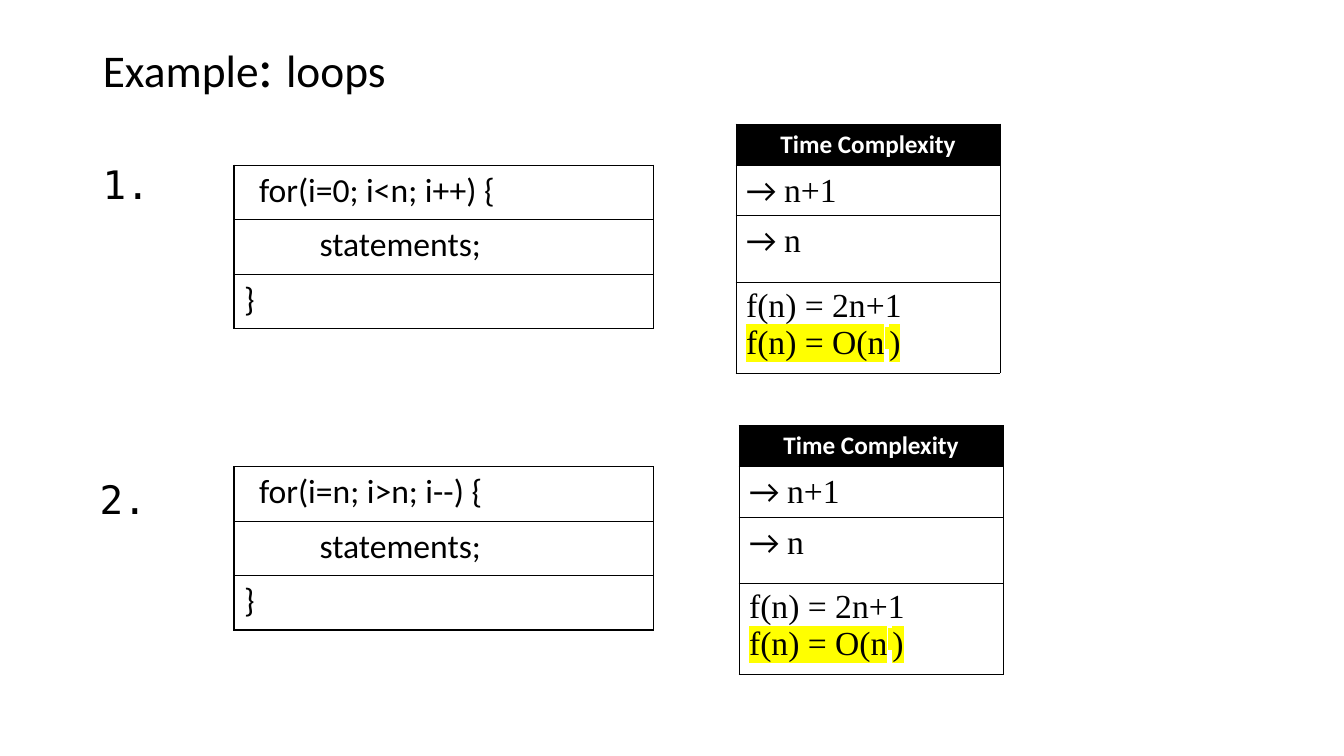
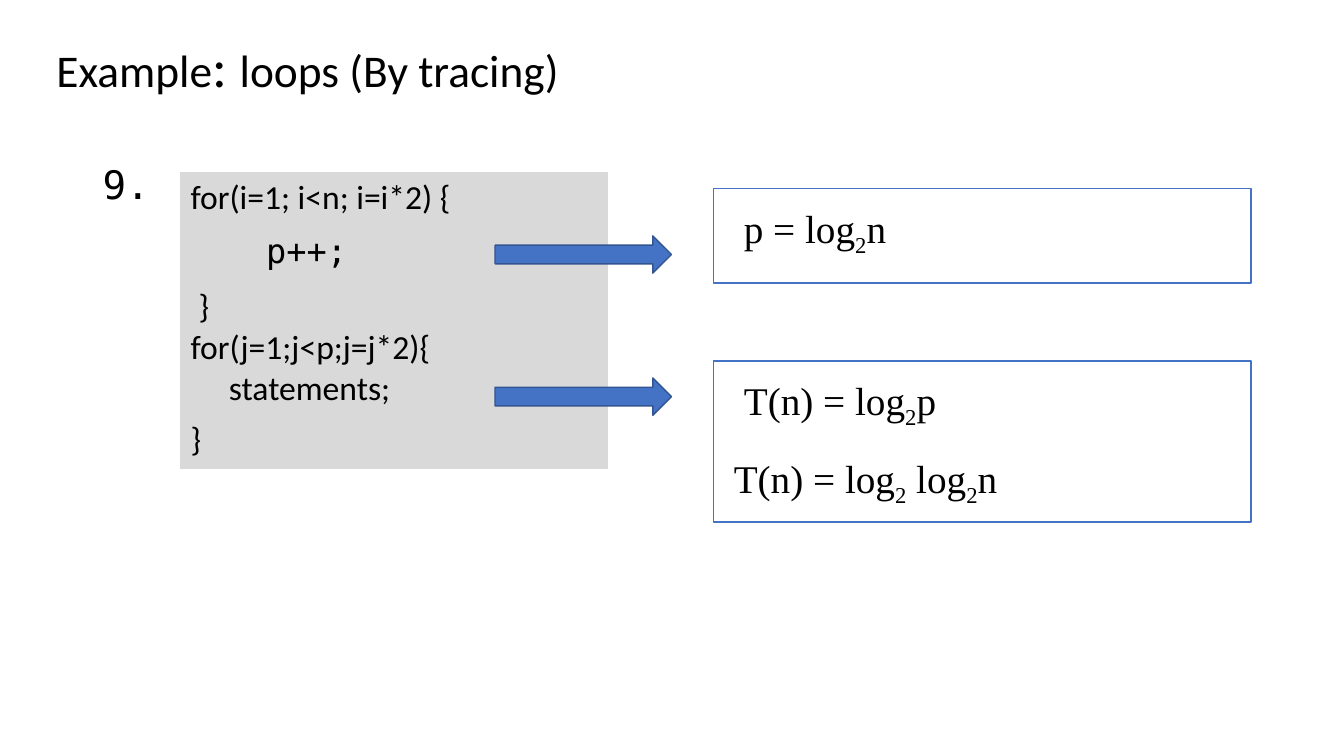
from dataclasses import dataclass

from lxml.etree import SubElement
from pptx import Presentation
from pptx.dml.color import RGBColor
from pptx.enum.shapes import MSO_SHAPE
from pptx.enum.text import MSO_ANCHOR, MSO_AUTO_SIZE, PP_ALIGN
from pptx.oxml import parse_xml
from pptx.oxml.ns import nsdecls, qn
from pptx.util import Inches, Pt

BLACK = RGBColor(0x00, 0x00, 0x00)
WHITE = RGBColor(0xFF, 0xFF, 0xFF)
GREY = RGBColor(0xD9, 0xD9, 0xD9)
BLUE = RGBColor(0x44, 0x72, 0xC4)
NAVY = RGBColor(0x32, 0x54, 0x91)
YELLOW = RGBColor(0xFF, 0xFF, 0x00)

SANS, MONO, SERIF = "Calibri", "DejaVu Sans Mono", "Times New Roman"


@dataclass(frozen=True)
class Run:
    text: str
    face: str = SANS
    size: float = 24
    color: RGBColor = BLACK
    bold: bool = False
    base: int = 0  # percent above or below the baseline
    mark: RGBColor | None = None


@dataclass(frozen=True)
class Line:
    runs: tuple[Run, ...]
    indent: float = 0
    align: PP_ALIGN = PP_ALIGN.LEFT


@dataclass(frozen=True)
class Row:
    height: float
    lines: tuple[Line, ...]
    fill: RGBColor = WHITE


# Text
def write(frame, lines: tuple[Line, ...], **style) -> None:
    for index, line in enumerate(lines):
        para = frame.paragraphs[0] if index == 0 else frame.add_paragraph()
        for key, value in {"alignment": line.align, **style}.items():
            setattr(para, key, value)
        if line.indent:
            props = para._p.get_or_add_pPr()
            props.set("marL", str(Inches(line.indent)))
            props.set("indent", "0")
        for item in line.runs:
            add_run(para, item)


def add_run(para, item: Run) -> None:
    run = para.add_run()
    run.text = item.text
    look = {"name": item.face, "size": Pt(item.size), "bold": item.bold}
    for key, value in look.items():
        setattr(run.font, key, value)
    run.font.color.rgb = item.color
    props = run._r.get_or_add_rPr()
    if item.base:
        props.set("baseline", str(item.base * 1000))
    if item.mark is not None:
        mark = parse_xml(f'<a:highlight {nsdecls("a")}>'
                         f'<a:srgbClr val="{item.mark}"/></a:highlight>')
        props.find(qn("a:solidFill")).addnext(mark)


def code(text: str, indent: float = 0, face: str = SANS) -> Line:
    return Line((Run(text, face),), indent)


def maths(*parts: str, indent: float) -> Line:
    """Parts alternate between plain text and subscript."""
    runs = (Run(part, SERIF, 28, base=-25 if i % 2 else 0)
            for i, part in enumerate(parts))
    return Line(tuple(runs), indent)


# Slide parts
def add_slide(deck, topic: str, left: float, width: float):
    slide = deck.slides.add_slide(deck.slide_layouts[5])
    title = slide.shapes.title
    place = {"left": left, "top": 0.4, "width": width, "height": 0.58}
    for key, value in place.items():
        setattr(title, key, Inches(value))
    frame = title.text_frame
    look = {"auto_size": MSO_AUTO_SIZE.NONE, "word_wrap": True,
            "vertical_anchor": MSO_ANCHOR.MIDDLE}
    for key, value in look.items():
        setattr(frame, key, value)
    runs = (Run("Example", size=32.4), Run(": ", size=39.6),
            Run(topic, size=32.4))
    write(frame, (Line(runs),), line_spacing=0.9)
    return slide


def add_label(slide, text: str, left: float, top: float) -> None:
    box = slide.shapes.add_textbox(
        Inches(left), Inches(top), Inches(1), Inches(0.55))
    box.text_frame.word_wrap = True
    write(box.text_frame, (Line((Run(text, MONO, 28),)),))


def add_edges(cell, weight: float) -> None:
    props = cell._tc.get_or_add_tcPr()
    for side in "LRTB":
        edge = SubElement(props, qn(f"a:ln{side}"), w=str(Pt(weight)))
        if weight:
            fill = SubElement(edge, qn("a:solidFill"))
            SubElement(fill, qn("a:srgbClr"), val=str(BLACK))
        else:
            SubElement(edge, qn("a:noFill"))


def add_grid(slide, left: float, top: float, width: float,
             rows: tuple[Row, ...], weight: float = 0) -> None:
    height = sum(row.height for row in rows)
    table = slide.shapes.add_table(
        len(rows), 1, Inches(left), Inches(top),
        Inches(width), Inches(height)).table
    for key in ("first_row", "horz_banding"):
        setattr(table, key, False)
    for index, row in enumerate(rows):
        table.rows[index].height = Inches(row.height)
        cell = table.cell(index, 0)
        add_edges(cell, weight)
        cell.fill.solid()
        cell.fill.fore_color.rgb = row.fill
        write(cell.text_frame, row.lines)


def add_block(slide, kind: MSO_SHAPE, place: tuple[float, ...],
              fill: RGBColor, edge: RGBColor):
    shape = slide.shapes.add_shape(kind, *map(Inches, place))
    shape.shadow.inherit = False
    shape.fill.solid()
    shape.fill.fore_color.rgb = fill
    shape.line.color.rgb = edge
    shape.line.width = Pt(1)
    return shape


def add_result(slide, top: float, height: float, *lines: Line) -> None:
    box = add_block(slide, MSO_SHAPE.RECTANGLE, (7.08, top, 5.33, height),
                    WHITE, BLUE)
    box.text_frame.vertical_anchor = MSO_ANCHOR.TOP
    write(box.text_frame, lines, line_spacing=1.2, space_before=Pt(10))


# Slides
def loops(deck) -> None:
    slide = add_slide(deck, "loops", 0.92, 11.14)
    head = Line((Run("Time Complexity", size=18, color=WHITE, bold=True),),
                align=PP_ALIGN.CENTER)
    order = Line((Run("f(n) = O(n", SERIF, mark=YELLOW),
                  Run(" ", SERIF, base=30, mark=YELLOW),
                  Run(")", SERIF, mark=YELLOW)))
    count, body = (Line((Run("→ "), Run(text, SERIF)))
                   for text in ("n+1", "n"))
    costs = (Row(0.41, (head,), BLACK), Row(0.5, (count,)),
             Row(0.66, (body,)),
             Row(0.84, (code("f(n) = 2n+1", face=SERIF), order)))
    cases = (("1.", "for(i=0; i<n; i++) {", 0.92, 1.54, 1.64, 7.3, 1.23),
             ("2.", "for(i=n; i>n; i--) {", 0.89, 4.67, 4.63, 7.33, 4.22))
    for label, loop, left, top, code_top, cost_left, cost_top in cases:
        add_label(slide, label, left, top)
        lines = (code(loop, 0.15), code("statements;", 0.75), code("}"))
        rows = tuple(Row(0.54, (line,)) for line in lines)
        add_grid(slide, 2.32, code_top, 4.16, rows, 1)
        add_grid(slide, cost_left, cost_top, 2.62, costs, 0.5)


def tracing(deck) -> None:
    slide = add_slide(deck, "loops (By tracing)", 0.46, 7.1)
    add_label(slide, "9.", 0.92, 1.54)
    inner = (code("}", 0.08), code("for(j=1;j<p;j=j*2){"),
             code("statements;", 0.38))
    rows = (Row(0.54, (code("for(i=1; i<n; i=i*2) {"),), GREY),
            Row(0.54, (code("p++;", 0.75, MONO),), GREY),
            Row(1.32, inner, GREY),
            Row(0.54, (code("}"),), GREY))
    add_grid(slide, 1.79, 1.71, 4.24, rows)
    for top in (2.34, 3.75):
        add_block(slide, MSO_SHAPE.RIGHT_ARROW, (4.91, top, 1.75, 0.37),
                  BLUE, NAVY)
    add_result(slide, 1.87, 0.94, maths("p = log", "2", "n", indent=0.2))
    add_result(slide, 3.58, 1.6,
               maths("T(n) = log", "2", "p", indent=0.2),
               maths("T(n) = log", "2", " log", "2", "n", indent=0.1))


def main() -> None:
    deck = Presentation()
    deck.slide_width, deck.slide_height = Inches(13.33), Inches(7.5)
    loops(deck)
    tracing(deck)
    deck.save("out.pptx")


if __name__ == "__main__":
    main()
